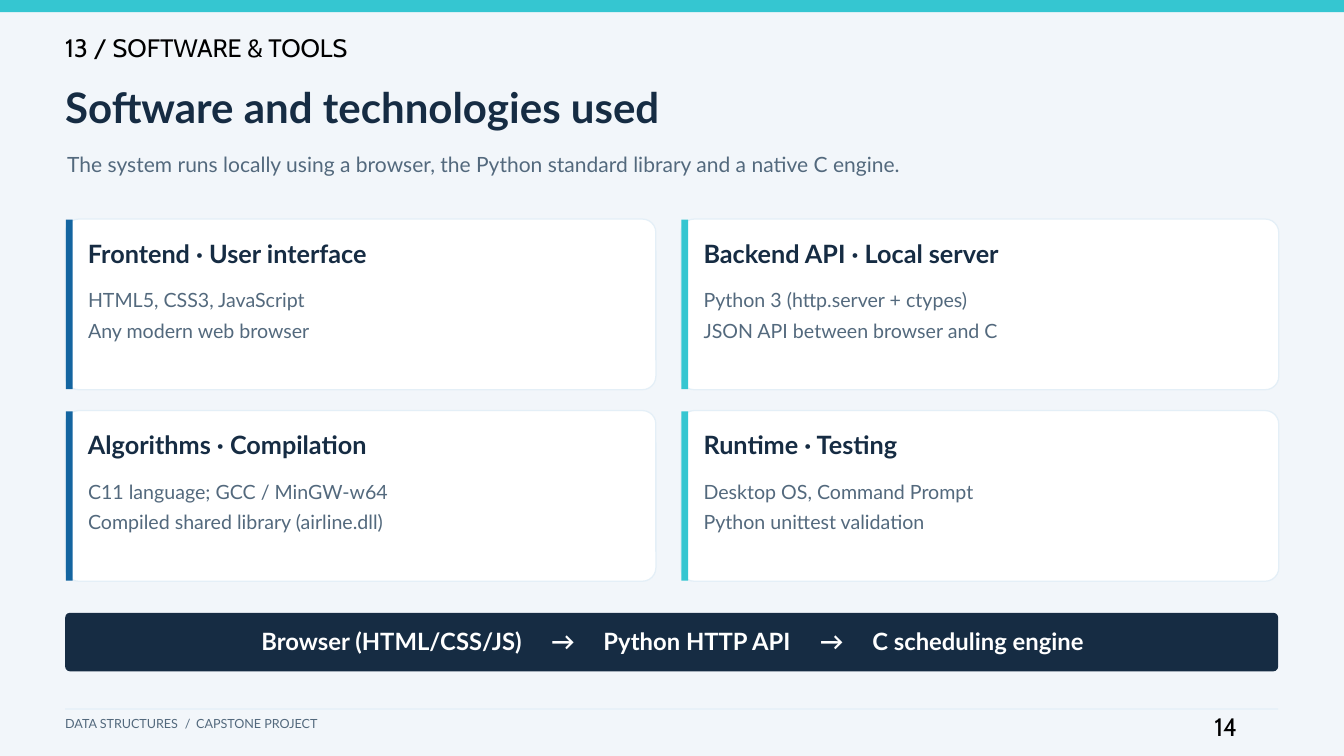
from lxml.etree import SubElement
from pptx import Presentation
from pptx.dml.color import RGBColor
from pptx.enum.shapes import MSO_SHAPE
from pptx.enum.text import MSO_AUTO_SIZE
from pptx.oxml.ns import qn
from pptx.util import Inches, Pt

COLORS = {
    "back": "F2F6FA", "teal": "35C6D1", "blue": "1465A0", "navy": "162C43",
    "slate": "53697D", "pale": "E4EFF7", "white": "FFFFFF", "black": "000000",
}
LEFT = 0.97
WIDTH = 18.05
CARDS = [
    ("Frontend · User interface",
     ["HTML5, CSS3, JavaScript", "Any modern web browser"]),
    ("Backend API · Local server",
     ["Python 3 (http.server + ctypes)", "JSON API between browser and C"]),
    ("Algorithms · Compilation",
     ["C11 language; GCC / MinGW-w64", "Compiled shared library (airline.dll)"]),
    ("Runtime · Testing",
     ["Desktop OS, Command Prompt", "Python unittest validation"]),
]
COLUMNS = [(LEFT, 8.79, "blue"), (10.13, 8.9, "teal")]
FLOW = "Browser (HTML/CSS/JS)\t→\tPython HTTP API\t→\tC scheduling engine"


def color(name):
    return RGBColor.from_string(COLORS[name])


def add_box(slide, x, y, w, h, fill, radius=0, line=None):
    """Add a filled rectangle, rounded when a radius in inches is given."""
    kind = MSO_SHAPE.ROUNDED_RECTANGLE if radius else MSO_SHAPE.RECTANGLE
    box = slide.shapes.add_shape(kind, Inches(x), Inches(y), Inches(w), Inches(h))
    box.shadow.inherit = False
    box.fill.solid()
    box.fill.fore_color.rgb = color(fill)
    if radius:
        box.adjustments[0] = radius / h
    if line:
        box.line.color.rgb = color(line)
        box.line.width = Pt(1.35)
    else:
        box.line.fill.background()


def add_tabs(para, stops):
    tabs = SubElement(para._p.get_or_add_pPr(), qn("a:tabLst"))
    for stop in stops:
        SubElement(tabs, qn("a:tab"), pos=str(Inches(stop)), algn="l")


def add_text(slide, x, y, w, h, lines, size, ink, font="Lato", bold=False,
             inset=0, stops=()):
    """Add one paragraph per line, spaced at 1.2 times the size."""
    box = slide.shapes.add_textbox(Inches(x), Inches(y), Inches(w), Inches(h))
    frame = box.text_frame
    frame.word_wrap = True
    frame.auto_size = MSO_AUTO_SIZE.SHAPE_TO_FIT_TEXT
    frame.margin_left = Inches(inset)
    frame.margin_top = frame.margin_right = frame.margin_bottom = 0
    frame.text = "\n".join(lines)
    for i, para in enumerate(frame.paragraphs):
        para.line_spacing = Pt(size * 1.2)
        if i:
            para.space_before = Pt(7.5)
        if stops:
            add_tabs(para, stops)
        for run in para.runs:
            run.font.size = Pt(size)
            run.font.name = font
            run.font.bold = bold
            run.font.color.rgb = color(ink)


def add_card(slide, x, y, w, accent, title, lines):
    add_box(slide, x, y, w, 2.54, "white", 0.2, "pale")
    add_box(slide, x + 0.01, y + 0.01, 0.1, 2.52, accent)
    add_text(slide, x + 0.34, y + 0.28, w - 0.56, 0.54, [title], 27, "navy", bold=True)
    add_text(slide, x + 0.34, y + 1.03, w - 0.61, 1.24, lines, 21, "slate")


def add_head(slide):
    add_box(slide, 0, 0, 20, 0.18, "teal")
    add_text(slide, LEFT, 0.48, 18, 0.47, ["13 / SOFTWARE & TOOLS"], 27, "black", "Cabin")
    add_text(slide, LEFT, 1.22, 18, 0.87, ["Software and technologies used"],
             45, "navy", bold=True)
    add_text(slide, 1, 2.25, 18, 0.63,
             ["The system runs locally using a browser, the Python standard "
              "library and a native C engine."], 22.5, "slate")


def add_foot(slide):
    add_box(slide, LEFT, 10.54, WIDTH, 0.02, "pale")
    add_text(slide, LEFT, 10.65, 15, 0.28, ["DATA STRUCTURES\t/\tCAPSTONE PROJECT"],
             13.5, "slate", stops=[1.78, 1.95])
    add_text(slide, 18.07, 10.59, 0.94, 0.36, ["14"], 27, "black", "Cabin")


def add_flow(slide):
    add_box(slide, LEFT, 9.12, WIDTH, 0.87, "navy", 0.07)
    add_text(slide, 1.29, 9.33, 17.48, 0.45, [FLOW], 25.5, "white", bold=True,
             inset=2.6, stops=[4.31, 5.09, 8.31, 9.09])


def main():
    deck = Presentation()
    deck.slide_width = Inches(20)
    deck.slide_height = Inches(11.25)
    slide = deck.slides.add_slide(deck.slide_layouts[6])
    slide.background.fill.solid()
    slide.background.fill.fore_color.rgb = color("back")
    add_head(slide)
    for i, (title, lines) in enumerate(CARDS):
        row, col = divmod(i, 2)
        x, w, accent = COLUMNS[col]
        add_card(slide, x, 3.26 + row * 2.85, w, accent, title, lines)
    add_flow(slide)
    add_foot(slide)
    deck.save("out.pptx")


if __name__ == "__main__":
    main()
